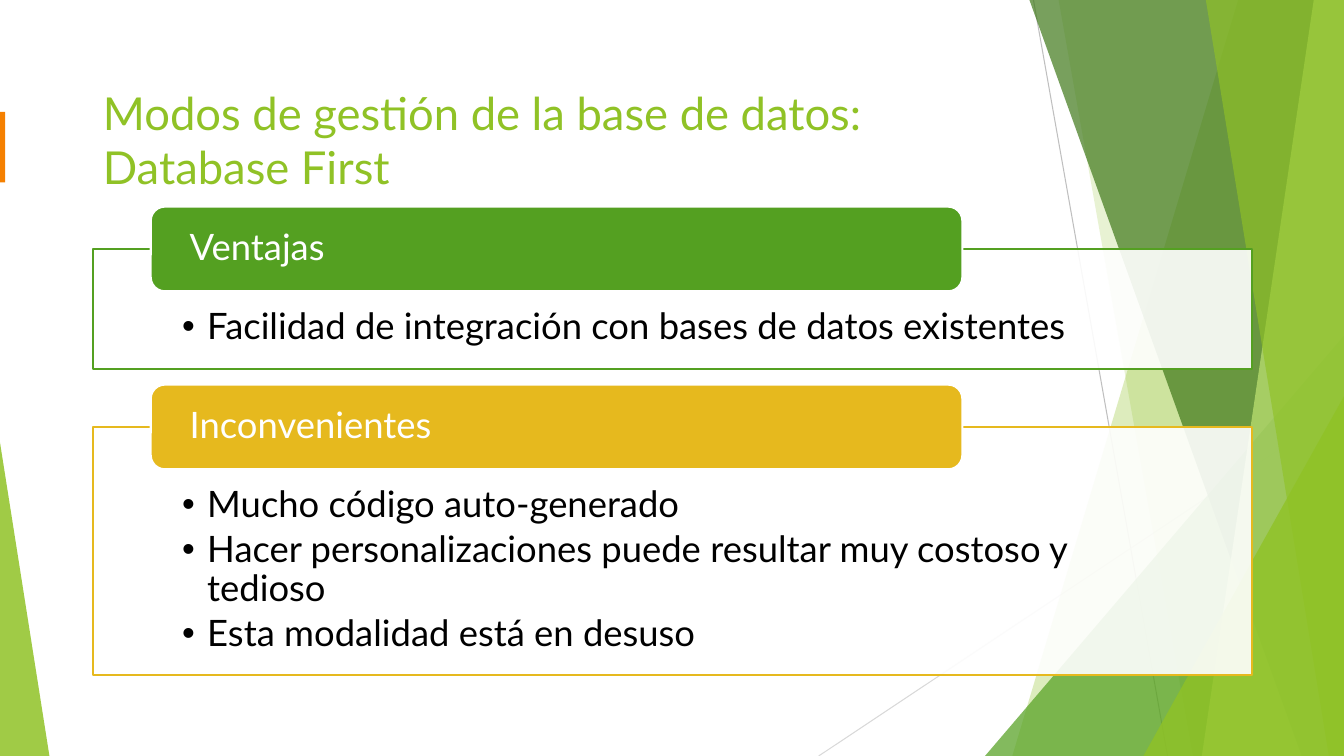
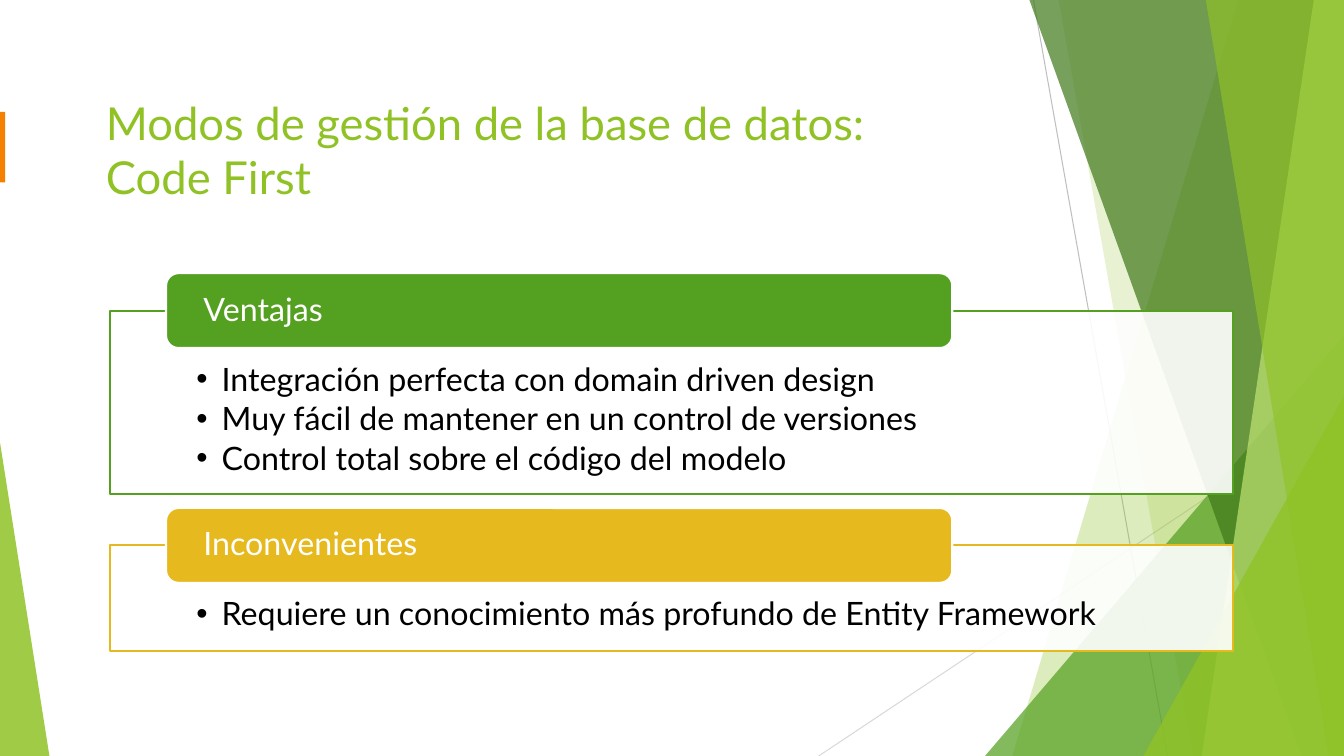
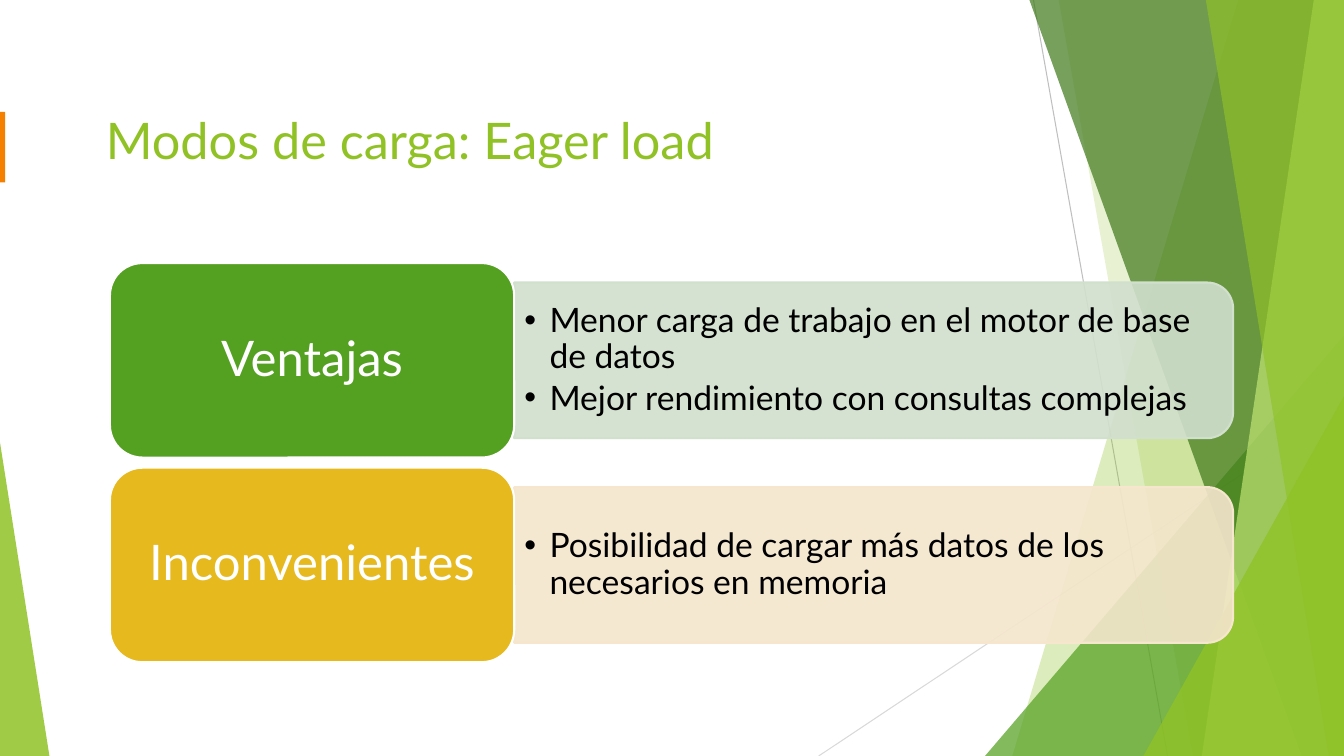
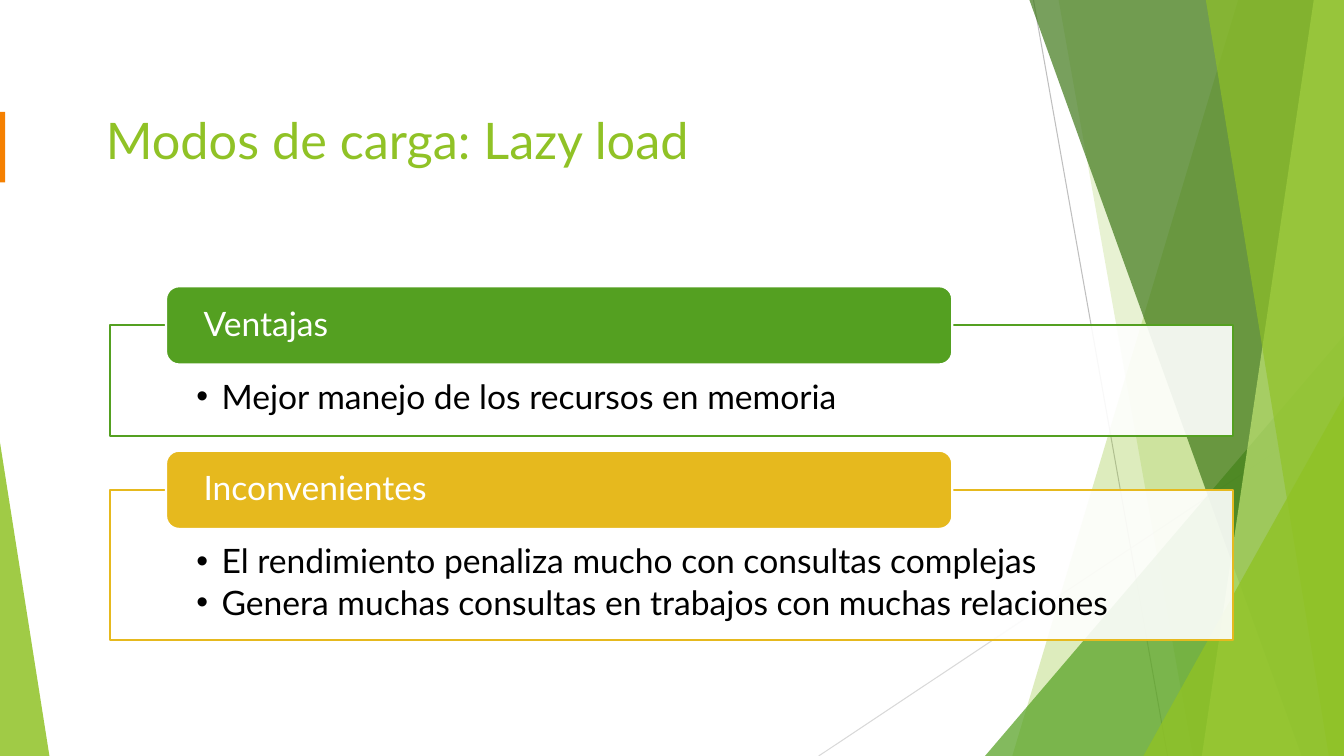
from dataclasses import dataclass
from typing import Any

from lxml import etree
from pptx import Presentation
from pptx.dml.color import RGBColor
from pptx.enum.shapes import MSO_CONNECTOR, MSO_SHAPE
from pptx.enum.text import MSO_ANCHOR, MSO_AUTO_SIZE, PP_ALIGN
from pptx.oxml.ns import qn
from pptx.shapes.shapetree import SlideShapes
from pptx.util import Inches, Pt

WIDE, HIGH = 13.33, 7.5
FONT = "Lato"
LIME = RGBColor(0x90, 0xC2, 0x26)
GREEN = RGBColor(0x54, 0xA0, 0x21)
DARK = RGBColor(0x3F, 0x78, 0x19)
PALE = RGBColor(0xC0, 0xE4, 0x74)
GOLD = RGBColor(0xE6, 0xB9, 0x1E)
MINT = RGBColor(0xD1, 0xDF, 0xCD)
CREAM = RGBColor(0xF5, 0xE6, 0xCD)
ORANGE = RGBColor(0xF5, 0x80, 0x00)
SILVER = RGBColor(0xBF, 0xBF, 0xBF)
MIST = RGBColor(0xD9, 0xD9, 0xD9)
WHITE = RGBColor(0xFF, 0xFF, 0xFF)
BLACK = RGBColor(0x00, 0x00, 0x00)

RECT, ROUND = MSO_SHAPE.RECTANGLE, MSO_SHAPE.ROUNDED_RECTANGLE
WEDGE, BAR = MSO_SHAPE.ISOSCELES_TRIANGLE, MSO_SHAPE.ROUND_2_SAME_RECTANGLE
STRAIGHT = MSO_CONNECTOR.STRAIGHT
TOP, MIDDLE = MSO_ANCHOR.TOP, MSO_ANCHOR.MIDDLE
LEFT, CENTER = PP_ALIGN.LEFT, PP_ALIGN.CENTER
FIXED = MSO_AUTO_SIZE.NONE

Box = tuple[float, float, float, float]
HEADS = ("Ventajas", "Inconvenientes")
HUES = (GREEN, GOLD)
TINTS = (MINT, CREAM)


@dataclass(frozen=True)
class Band:
    """Full-height strip from a slanted left edge to the slide's right side."""
    top: float
    base: float
    hue: RGBColor
    alpha: int


@dataclass(frozen=True)
class Slant:
    """Right triangle whose apex lies at a share of its width."""
    box: Box
    apex: int
    hue: RGBColor
    alpha: int


@dataclass(frozen=True)
class Page:
    title: str
    box: Box
    size: float
    lists: tuple[tuple[str, ...], tuple[str, ...]]
    anchor: Any = MIDDLE


@dataclass(frozen=True)
class Stack:
    """Framed lists, one below the other, each with a tab on its top edge."""
    left: float
    top: float
    width: float
    size: int
    highs: tuple[float, float]


DECOR = (
    Band(12.28, 10.04, LIME, 30),
    Band(10.5, 11.83, LIME, 20),
    Slant((9.77, 3.33, 3.56, 4.17), 1, GREEN, 72),
    Band(10.21, 12.91, DARK, 70),
    Band(13.03, 11.92, PALE, 70),
    Band(11.96, 13.18, LIME, 65),
    Slant((11.34, 3.93, 1.99, 3.57), 1, LIME, 80),
    Slant((0, 4.39, 0.49, 3.11), 0, LIME, 85),
)
RULES = (((10.25, 0), (11.58, HIGH), SILVER), ((WIDE, 4.03), (8.12, HIGH), MIST))


# Shared helpers
def put(item: Any, **vals: Any) -> None:
    for name, val in vals.items():
        setattr(item, name, val)


def place(shape: Any, box: Box) -> None:
    names = ("left", "top", "width", "height")
    put(shape, **{name: Inches(val) for name, val in zip(names, box)})


def paint(shape: Any, hue: RGBColor, alpha: int = 100, edge: RGBColor | None = None) -> None:
    shape.fill.solid()
    shape.fill.fore_color.rgb = hue
    if alpha < 100:
        tone = shape.element.spPr.find(qn("a:solidFill"))[0]
        etree.SubElement(tone, qn("a:alpha"), val=str(alpha * 1000))
    if edge is None:
        shape.line.fill.background()
    else:
        shape.line.color.rgb = edge
        shape.line.width = Pt(1.5)


def draw(shapes: Any, kind: Any, box: Box, hue: RGBColor, **look: Any) -> Any:
    shape = shapes.add_shape(kind, *(Inches(val) for val in box))
    shape.shadow.inherit = False
    paint(shape, hue, **look)
    return shape


def frame(shape: Any, anchor: Any, pads: Box = (0.1, 0.05, 0.1, 0.05)) -> Any:
    sides = ("margin_left", "margin_top", "margin_right", "margin_bottom")
    text = shape.text_frame
    put(text, word_wrap=True, auto_size=FIXED, vertical_anchor=anchor,
        **{side: Inches(pad) for side, pad in zip(sides, pads)})
    return text


def style(para: Any, size: float, hue: RGBColor, **form: Any) -> None:
    put(para, **form)
    put(para.font, name=FONT, size=Pt(size))
    para.font.color.rgb = hue


def label(shape: Any, words: str, size: float, align: Any, pad: float) -> None:
    text = frame(shape, MIDDLE, (pad, 0, pad, 0))
    text.text = words
    style(text.paragraphs[0], size, WHITE, alignment=align, line_spacing=0.9)


def bullets(text: Any, items: tuple[str, ...], size: int) -> None:
    text.text = "\n".join(items)
    for para in text.paragraphs:
        props = para._p.get_or_add_pPr()
        hang = Inches(0.25)
        props.set("marL", str(hang))
        props.set("indent", str(-hang))
        etree.SubElement(props, qn("a:buChar"), char="•")
        style(para, size, BLACK, line_spacing=0.9, space_before=Pt(0),
              space_after=Pt(round(size * 0.15, 1)))


# Background, drawn once on the layout
def dress(layout: Any) -> None:
    shapes = SlideShapes(layout.shapes.element, layout)
    for start, end, hue in RULES:
        line = shapes.add_connector(STRAIGHT, *(Inches(val) for val in start + end))
        line.line.color.rgb = hue
        line.line.width = Pt(0.75)
        etree.SubElement(line.element.spPr, qn("a:effectLst"))
    for part in DECOR:
        if isinstance(part, Slant):
            wedge = draw(shapes, WEDGE, part.box, part.hue, alpha=part.alpha)
            wedge.adjustments[0] = part.apex
            continue
        edge = ((WIDE, 0), (WIDE, HIGH), (part.base, HIGH))
        pen = shapes.build_freeform(Inches(part.top), 0)
        pen.add_line_segments([(Inches(x), Inches(y)) for x, y in edge])
        strip = pen.convert_to_shape()
        strip.shadow.inherit = False
        paint(strip, part.hue, part.alpha)
    draw(shapes, RECT, (0, 1.11, 0.05, 0.7), ORANGE)


# Slide parts
def start(deck: Any, layout: Any, page: Page) -> Any:
    slide = deck.slides.add_slide(layout)
    title = slide.shapes.title
    place(title, page.box)
    text = frame(title, page.anchor)
    text.text = page.title
    style(text.paragraphs[0], page.size, LIME, alignment=LEFT)
    return slide


def stack(slide: Any, page: Page, plan: Stack) -> None:
    wide, size = plan.width, plan.size
    tab = size * 0.0323
    side = wide * 0.077
    top = plan.top
    for i, high in enumerate(plan.highs):
        body = slide.placeholders[i + 1]
        place(body, (plan.left, top + tab / 2, wide, high))
        paint(body, WHITE, 90, HUES[i])
        text = frame(body, TOP, (side, size * 0.0227, side, size * 0.0078))
        bullets(text, page.lists[i], size)
        box = (plan.left + wide * 0.05, top, wide * 0.7, tab)
        head = draw(slide.shapes, ROUND, box, HUES[i], edge=WHITE)
        label(head, HEADS[i], size, LEFT, wide * 0.03)
        top += tab / 2 + high + size * 0.006


def rows(slide: Any, page: Page) -> None:
    left, split, wide, high, step = 1.09, 5.1, 7.13, 1.93, 2.03
    thick = high * 0.8
    for i in range(len(HEADS)):
        top = 2.61 + i * step
        mid = top + high / 2
        box = (split + (wide - thick) / 2, mid - wide / 2, thick, wide)
        bar = draw(slide.shapes, BAR, box, TINTS[i], alpha=90, edge=TINTS[i])
        bar.rotation = 90
        body = slide.placeholders[i + 1]
        place(body, (split, mid - 0.7, 7.06, 1.4))
        bullets(frame(body, MIDDLE), page.lists[i], 24)
        slide.shapes.element.append(body.element)  # bring the list above its bar
        box = (left, top, split - left, high)
        head = draw(slide.shapes, ROUND, box, HUES[i], edge=WHITE)
        label(head, HEADS[i], 35, CENTER, 0.25)


# Content
LOW = (0.95, 0.66, 11.43, 1.45)
PAGES = (
    (Page("Modos de gestión de la base de datos:\vDatabase First",
          (0.92, 0.79, 11.92, 0.82), 32.4,
          (("Facilidad de integración con bases de datos existentes",),
           ("Mucho código auto-generado",
            "Hacer personalizaciones puede resultar muy costoso y tedioso",
            "Esta modalidad está en desuso")), TOP),
     Stack(0.92, 2.05, 11.5, 26, (1.19, 2.46))),
    (Page("Modos de gestión de la base de datos:\vCode First",
          (0.95, 0.93, 11.43, 1.1), 32.4,
          (("Integración perfecta con domain driven design",
            "Muy fácil de mantener en un control de versiones",
            "Control total sobre el código del modelo"),
           ("Requiere un conocimiento más profundo de Entity Framework",))),
     Stack(1.09, 2.71, 11.14, 23, (1.82, 1.05))),
    (Page("Modos de carga: Eager load", LOW, 36,
          (("Menor carga de trabajo en el motor de base de datos",
            "Mejor rendimiento con consultas complejas"),
           ("Posibilidad de cargar más datos de los necesarios en memoria",))),
     None),
    (Page("Modos de carga: Lazy load", LOW, 36,
          (("Mejor manejo de los recursos en memoria",),
           ("El rendimiento penaliza mucho con consultas complejas",
            "Genera muchas consultas en trabajos con muchas relaciones"))),
     Stack(1.09, 2.84, 11.14, 24, (1.1, 1.49))),
)


def main() -> None:
    deck = Presentation()
    put(deck, slide_width=Inches(WIDE), slide_height=Inches(HIGH))
    layout = deck.slide_layouts.get_by_name("Two Content")
    dress(layout)
    for page, plan in PAGES:
        slide = start(deck, layout, page)
        if plan:
            stack(slide, page, plan)
        else:
            rows(slide, page)
    deck.save("out.pptx")


if __name__ == "__main__":
    main()
